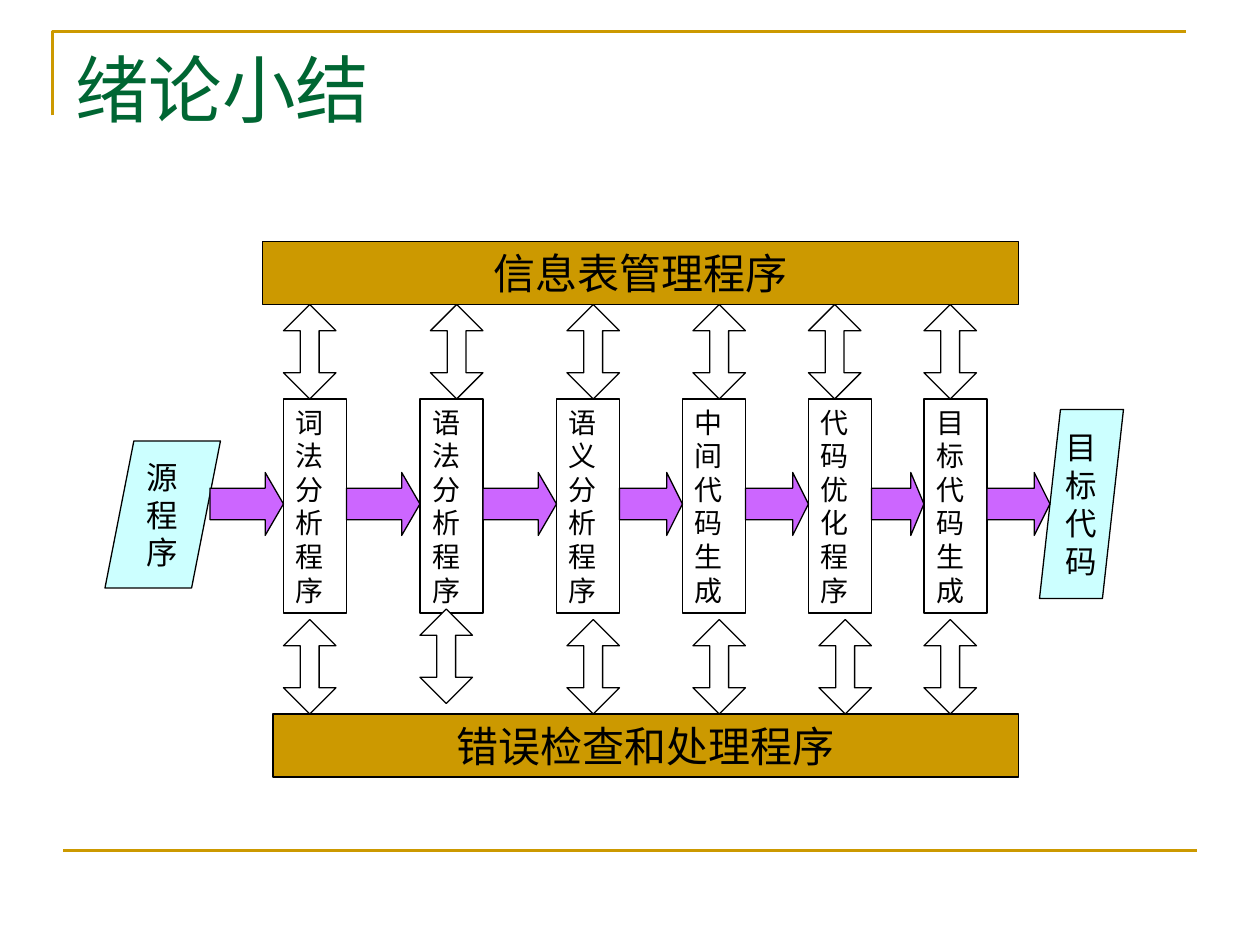
from dataclasses import dataclass

import pptx
import pptx.dml.color
import pptx.enum.shapes
import pptx.enum.text
import pptx.oxml.ns
import pptx.util
from lxml import etree

RGB = pptx.dml.color.RGBColor
SHAPE = pptx.enum.shapes.MSO_SHAPE
ALIGN = pptx.enum.text.PP_ALIGN
ANCHOR = pptx.enum.text.MSO_ANCHOR

PX = 7620  # EMU per px, 120 px to the inch
FONT = "Times New Roman"
GOLD = RGB(0xCC, 0x99, 0x00)
GREEN = RGB(0x00, 0x66, 0x33)
CYAN = RGB(0xCC, 0xFF, 0xFF)
VIOLET = RGB(0xCC, 0x66, 0xFF)
WHITE = RGB(0xFF, 0xFF, 0xFF)
BLACK = RGB(0x00, 0x00, 0x00)

PHASE_TOP, PHASE_W, PHASE_H = 380, 60, 204
FLOW_TOP, FLOW_H = 450, 60
LINK_W, LINK_H = 50, 90
SOURCE_EDGE, TARGET_EDGE = 200, 1000


@dataclass
class Phase:
    text: str
    left: int
    upper_link: int
    lower_link: int
    lower_top: int = 590


@dataclass
class Block:
    kind: SHAPE
    box: tuple[int, int, int, int]
    fill: RGB
    lines: list[str]
    size: int


PHASES = [
    Phase("词法分析程序", 270, 270, 270),
    Phase("语法分析程序", 400, 410, 400, 580),
    Phase("语义分析程序", 530, 540, 540),
    Phase("中间代码生成", 650, 660, 660),
    Phase("代码优化程序", 770, 770, 780),
    Phase("目标代码生成", 880, 880, 880),
]
BLOCKS = [
    Block(SHAPE.RECTANGLE, (250, 230, 720, 60), GOLD, ["信息表管理程序"], 24),
    Block(SHAPE.RECTANGLE, (260, 680, 710, 60), GOLD, ["错误检查和处理程序"], 24),
    Block(SHAPE.PARALLELOGRAM, (100, 420, 110, 140), CYAN, list("源程序"), 18),
    Block(SHAPE.PARALLELOGRAM, (990, 390, 80, 180), CYAN, list("目标代码"), 18),
]


def emu(*lengths: int) -> list[int]:
    return [n * PX for n in lengths]


def write(s, lines: list[str], size: int, color: RGB = BLACK, align=ALIGN.LEFT,
          anchor=ANCHOR.TOP, wrap: bool = True) -> None:
    tf = s.text_frame
    tf.word_wrap, tf.vertical_anchor = wrap, anchor
    font_format = {"size": pptx.util.Pt(size), "name": FONT}
    for i, line in enumerate(lines):
        p = tf.add_paragraph() if i else tf.paragraphs[0]
        p.alignment = align
        r = p.add_run()
        r.text = line
        for name, value in font_format.items():
            setattr(r.font, name, value)
        r.font.color.rgb = color


def add_shape(shapes, kind: SHAPE, box: tuple[int, int, int, int],
              fill: RGB | None = None, adjustments: tuple[float, ...] = ()):
    s = shapes.add_shape(kind, *emu(*box))
    s.shadow.inherit = False
    for i, value in enumerate(adjustments):
        s.adjustments[i] = value
    if fill is None:
        s.fill.background()
    else:
        s.fill.solid()
        s.fill.fore_color.rgb = fill
    s.line.color.rgb = BLACK
    s.line.width = pptx.util.Pt(0.75)
    return s


def add_frame(shapes) -> None:
    """Draw the gold corner round the title and the rule at the foot."""
    builder = shapes.build_freeform(50, 110, scale=PX)
    builder.add_line_segments([(50, 30), (1130, 30)], close=False)
    corner = builder.convert_to_shape()
    corner.shadow.inherit = False
    corner.fill.background()
    rule = shapes.add_connector(pptx.enum.shapes.MSO_CONNECTOR.STRAIGHT,
                                *emu(60, 810, 1140, 810))
    etree.SubElement(rule._element.spPr, pptx.oxml.ns.qn("a:effectLst"))
    for s in (corner, rule):
        s.line.color.rgb = GOLD
        s.line.width = pptx.util.Pt(1.5)


def add_flow_arrows(shapes) -> None:
    """Join source, phases and target from edge to edge."""
    starts = [SOURCE_EDGE] + [phase.left + PHASE_W for phase in PHASES]
    ends = [phase.left for phase in PHASES] + [TARGET_EDGE]
    for start, end in zip(starts, ends):
        width = end - start
        head = 0.29 if width > FLOW_H else 0.25
        add_shape(shapes, SHAPE.RIGHT_ARROW, (start, FLOW_TOP, width, FLOW_H),
                  VIOLET, (0.5, head))


def add_links(shapes) -> None:
    """Link each phase to the bars above and below."""
    for phase in PHASES:
        for left, top in ((phase.upper_link, 290), (phase.lower_link, phase.lower_top)):
            add_shape(shapes, SHAPE.UP_DOWN_ARROW, (left, top, LINK_W, LINK_H),
                      WHITE, (0.5, 0.36))


def main() -> None:
    prs = pptx.Presentation()
    prs.slide_width, prs.slide_height = emu(1200, 900)
    shapes = prs.slides.add_slide(prs.slide_layouts[6]).shapes
    add_frame(shapes)
    write(shapes.add_textbox(*emu(60, 36, 1080, 150)), ["绪论小结"], 42, GREEN)
    for phase in PHASES:
        s = add_shape(shapes, SHAPE.RECTANGLE, (phase.left, PHASE_TOP, PHASE_W, PHASE_H))
        write(s, [phase.text], 16)
    for block in BLOCKS:
        s = add_shape(shapes, block.kind, block.box, block.fill)
        write(s, block.lines, block.size, align=ALIGN.CENTER, anchor=ANCHOR.MIDDLE, wrap=False)
    add_flow_arrows(shapes)
    add_links(shapes)
    prs.save("out.pptx")


if __name__ == "__main__":
    main()
